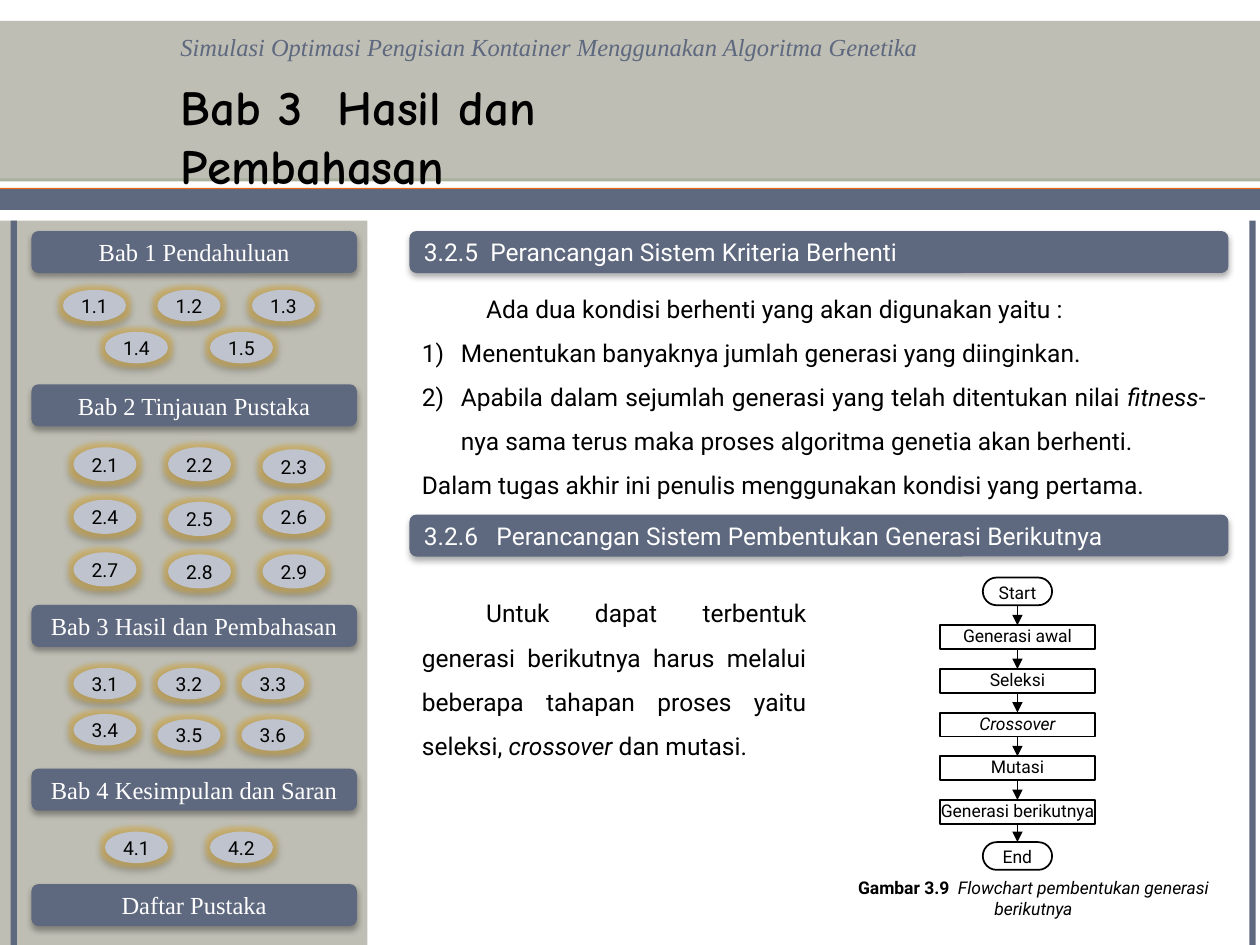
from itertools import pairwise

from lxml import etree
from pptx import Presentation
from pptx.dml.color import RGBColor
from pptx.enum.shapes import MSO_CONNECTOR as Connector, MSO_SHAPE as Shape
from pptx.enum.text import MSO_ANCHOR as Anchor, MSO_AUTO_SIZE as AutoSize, PP_ALIGN as Align
from pptx.oxml.ns import qn
from pptx.util import Inches, Pt

CELL = 1 / 12  # grid step in inches: 120 columns by 90 rows
SLATE, STONE, SAGE, ORANGE = "5E687E", "BEBEB4", "ABB19F", "F4680B"
PILL, GOLD, BLACK, WHITE = "BEC3CE", "D6AE4E", "000000", "FFFFFF"
SANS, SERIF, ROUNDED = "Roboto", "Times New Roman", "Comic Neue"


def color(value):
    return RGBColor.from_string(value)


def grid(*cells):
    return [Inches(cell * CELL) for cell in cells]


def add_tag(parent, tag, **attributes):
    return etree.SubElement(parent, qn(tag), {k: str(v) for k, v in attributes.items()})


def add_tint(parent, value, percent):
    tint = add_tag(parent, "a:srgbClr", val=value)
    add_tag(tint, "a:alpha", val=percent * 1000)


class SlideBuilder:
    def __init__(self, page):
        self.page = page

    def add_spans(self, para, *spans, size=14, font=SANS, ink=BLACK, bold=False,
                  align=Align.LEFT):
        """Add spans to a paragraph; a span is (text, style letters)."""
        para.alignment = align
        for text, style in spans:
            span = para.add_run()
            span.text = text
            span.font.name, span.font.size = font, Pt(size)
            span.font.color.rgb = color(ink)
            span.font.bold = bold or "b" in style
            span.font.italic = "i" in style

    def shape(self, kind, area, fill=None):
        box = self.page.shapes.add_shape(kind, *grid(*area))
        box.shadow.inherit = False
        box.line.fill.background()
        if fill:
            box.fill.solid()
            box.fill.fore_color.rgb = color(fill)
        else:
            box.fill.background()
        return box

    def band(self, area, fill):
        return self.shape(Shape.RECTANGLE, area, fill)

    def effects(self, box, glow=False):
        effects = box.element.spPr.find(qn("a:effectLst"))
        if glow:
            add_tint(add_tag(effects, "a:glow", rad=Pt(5)), GOLD, 60)
        shadow = add_tag(effects, "a:outerShdw", blurRad=Pt(3.5), dist=Pt(2.2),
                         dir=90 * 60000, rotWithShape=0)
        add_tint(shadow, BLACK, 32)

    def label(self, box, text, style="", inset=None, anchor=Anchor.MIDDLE, **look):
        frame = box.text_frame
        frame.vertical_anchor = anchor
        if inset is not None:
            frame.margin_left = frame.margin_right = Inches(inset)
            frame.margin_top = frame.margin_bottom = Inches(inset)
            frame.word_wrap = False
        self.add_spans(frame.paragraphs[0], (text, style), **look)

    def bar(self, area, text, **look):
        box = self.shape(Shape.FLOWCHART_ALTERNATE_PROCESS, area, SLATE)
        self.effects(box)
        self.label(box, text, ink=WHITE, **look)

    def pill(self, area, text):
        box = self.shape(Shape.OVAL, area, PILL)
        self.effects(box, glow=True)
        self.label(box, text, inset=0, size=11, align=Align.CENTER)

    def text(self, area):
        frame = self.page.shapes.add_textbox(*grid(*area)).text_frame
        frame.word_wrap = True
        return frame

    def body(self, area, *paragraphs):
        """Justified text; a paragraph is (kind, spans)."""
        frame = self.text(area)
        for index, (kind, spans) in enumerate(paragraphs):
            para = frame.add_paragraph() if index else frame.paragraphs[0]
            self.add_spans(para, *spans, align=Align.JUSTIFY)
            para.line_spacing = 1.5
            layout = para._p.get_or_add_pPr()
            if kind == "first-line":
                layout.set("indent", str(Inches(0.51)))
            elif kind == "numbered":
                layout.set("marL", str(Inches(0.31)))
                layout.set("indent", str(Inches(-0.31)))
                add_tag(layout, "a:buFont", typeface=SANS)
                add_tag(layout, "a:buAutoNum", type="arabicParenR")

    def title(self, area, text):
        box = self.page.shapes.title
        box.left, box.top, box.width, box.height = grid(*area)
        box.text_frame.word_wrap = True
        box.text_frame.auto_size = AutoSize.NONE
        self.label(box, text, anchor=Anchor.TOP, size=28, font=ROUNDED, bold=True)
        self.page.shapes.element.append(box.element)  # in front of the bands

    def step(self, kind, area, text, style=""):
        box = self.shape(kind, area)
        box.line.color.rgb = color(BLACK)
        box.line.width = Pt(1)
        if kind == Shape.ROUNDED_RECTANGLE:
            box.adjustments[0] = 0.5
        self.label(box, text, style, inset=0, anchor=Anchor.TOP, size=10,
                   align=Align.CENTER)
        return box

    def arrow(self, upper, lower):
        line = self.page.shapes.add_connector(Connector.STRAIGHT, 0, 0, 0, 0)
        line.begin_connect(upper, 2)
        line.end_connect(lower, 0)
        line.line.color.rgb = color(BLACK)
        line.line.width = Pt(1)
        outline = line.element.spPr.find(qn("a:ln"))
        add_tag(outline, "a:tailEnd", type="triangle")
        add_tag(line.element.spPr, "a:effectLst")


def main():
    deck = Presentation()
    deck.slide_width, deck.slide_height = Inches(10), Inches(7.5)
    page = deck.slides.add_slide(deck.slide_layouts[5])
    build = SlideBuilder(page)

    # Header
    build.band((0, 2.16, 120, 15.12), SAGE)
    build.band((0, 17.9, 120, 2), ORANGE)
    build.band((0, 2, 120, 15), STONE)
    build.band((0, 18, 120, 2), SLATE)
    subject = build.text((16, 2.5, 104, 4))
    build.add_spans(
        subject.paragraphs[0],
        ("Simulasi Optimasi Pengisian Kontainer Menggunakan Algoritma Genetika", "i"),
        font=SERIF, ink=SLATE)
    build.title((16, 6.7, 62, 6.9), "Bab 3  Hasil dan Pembahasan")

    # Side panel and edge lines
    build.band((0, 21, 35, 69), STONE)
    for left in (1, 119):
        build.band((left, 21, 0.6, 69), SLATE)

    # Chapters: bar top, name, pill height, pill corners
    chapters = [
        (22, "Bab 1 Pendahuluan", 3,
         [(6, 27.6), (15, 27.6), (24, 27.6), (10, 31.6), (20, 31.6)]),
        (36.6, "Bab 2 Tinjauan Pustaka", 3.25,
         [(7, 42.6), (16, 42.6), (25, 42.8), (7, 47.6), (16, 47.8), (25, 47.6),
          (7, 52.6), (16, 52.8), (25, 52.8)]),
        (57.6, "Bab 3 Hasil dan Pembahasan", 3,
         [(7, 63.6), (15, 63.6), (23, 63.6), (7, 68), (15, 68.5), (23, 68.5)]),
        (73.2, "Bab 4 Kesimpulan dan Saran", 3, [(10, 79.2), (20, 79.2)]),
        (84.2, "Daftar Pustaka", 3, []),
    ]
    for chapter, (top, name, height, corners) in enumerate(chapters, 1):
        build.bar((3, top, 31, 4), name, font=SERIF, align=Align.CENTER)
        for number, corner in enumerate(corners, 1):
            build.pill((*corner, 6, height), f"{chapter}.{number}")

    # Stopping criteria
    build.bar((39, 22, 78, 4), "3.2.5  Perancangan Sistem Kriteria Berhenti")
    build.body(
        (39, 26, 77, 22.4),
        ("first-line", [("Ada dua kondisi berhenti yang akan digunakan yaitu :", "")]),
        ("numbered", [("Menentukan banyaknya jumlah generasi yang diinginkan.", "")]),
        ("numbered", [
            ("Apabila dalam sejumlah generasi yang telah ditentukan nilai ", ""),
            ("fitness", "i"),
            ("-nya sama terus maka proses algoritma genetia akan berhenti.", "")]),
        ("plain", [("Dalam tugas akhir ini penulis menggunakan kondisi yang pertama.", "")]),
    )

    # Forming the next generation
    build.bar((39, 49, 78, 4), "3.2.6   Perancangan Sistem Pembentukan Generasi Berikutnya")
    build.body(
        (39, 55, 39, 18.1),
        ("first-line", [
            ("Untuk dapat terbentuk generasi berikutnya harus melalui beberapa "
             "tahapan proses yaitu seleksi, ", ""),
            ("crossover ", "i"), ("dan mutasi.", "")]),
    )

    # Flowchart
    center, first_row, pitch = 96.9, 59.55, 4.16
    names = ["Generasi awal", "Seleksi", "Crossover", "Mutasi", "Generasi berikutnya"]
    left, width, height = center - 3.3, 6.6, 2.64
    steps = [build.step(Shape.ROUNDED_RECTANGLE, (left, 55, width, height), "Start")]
    for row, name in enumerate(names):
        steps.append(build.step(
            Shape.RECTANGLE, (center - 7.4, first_row + row * pitch, 14.8, 2.28),
            name, "i" if name == "Crossover" else ""))
    steps.append(build.step(Shape.ROUNDED_RECTANGLE, (left, 80.2, width, height), "End"))
    for upper, lower in pairwise(steps):
        build.arrow(upper, lower)
    caption = build.text((77, 82.9, 42.84, 3.1))
    build.add_spans(caption.paragraphs[0], ("Gambar 3.9  ", "b"),
                    ("Flowchart pembentukan generasi berikutnya", "i"),
                    size=10, align=Align.CENTER)

    deck.save("out.pptx")


if __name__ == "__main__":
    main()
